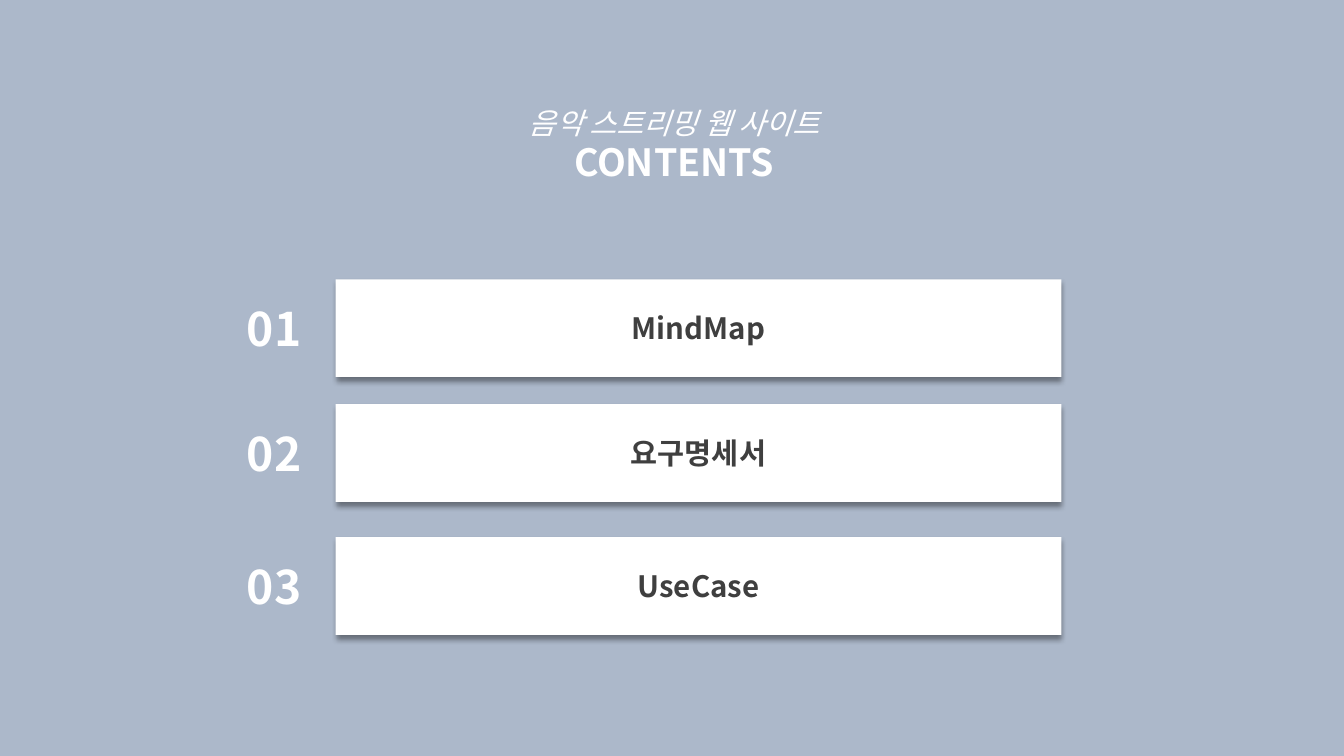
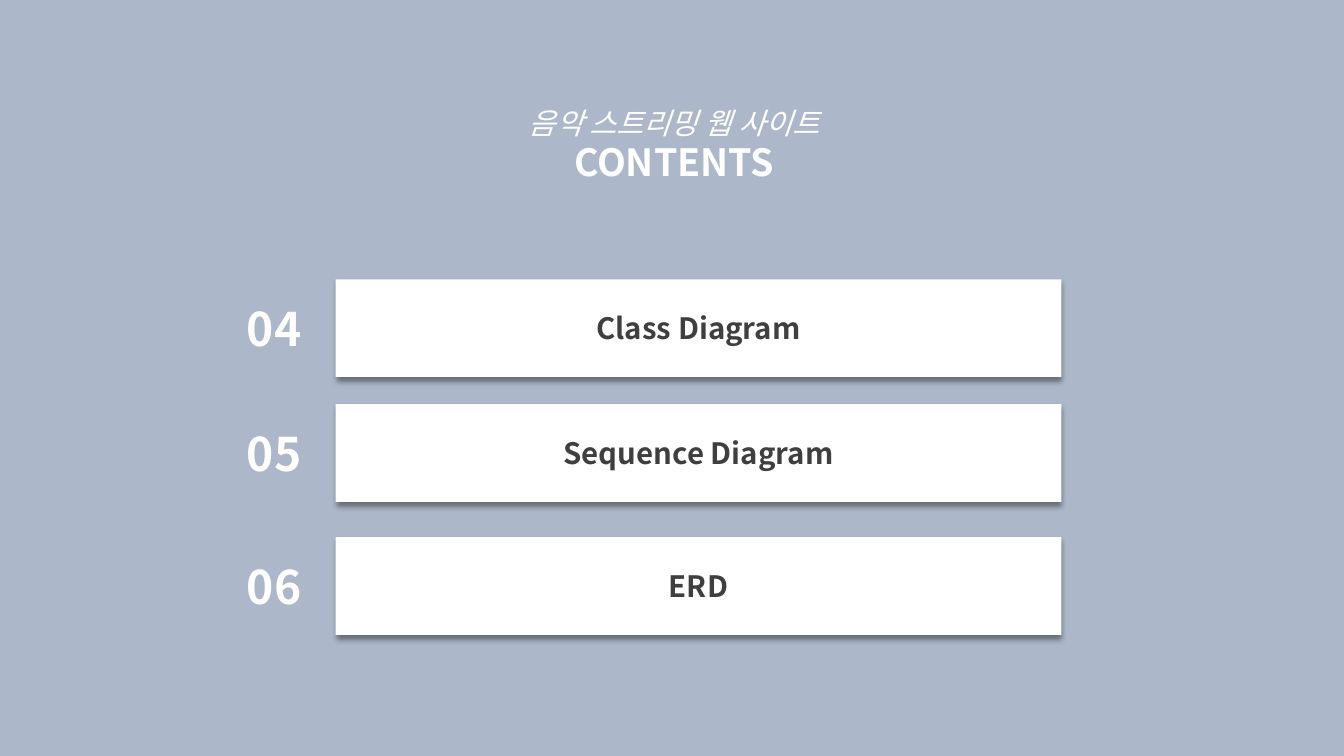
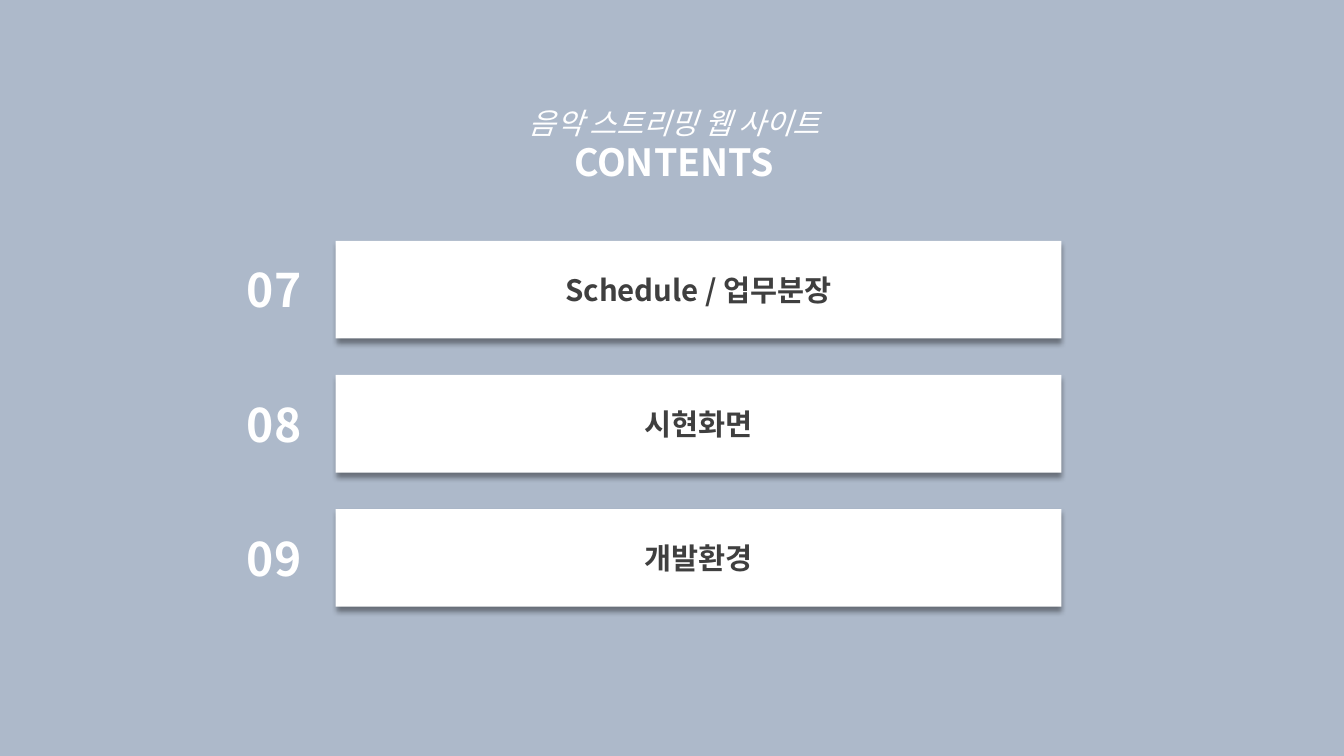
from dataclasses import dataclass

from lxml import etree
from pptx import Presentation
from pptx.dml.color import RGBColor
from pptx.enum.shapes import MSO_SHAPE
from pptx.enum.text import MSO_ANCHOR, MSO_AUTO_SIZE, PP_ALIGN
from pptx.oxml.ns import qn
from pptx.util import Pt

RECT = MSO_SHAPE.RECTANGLE
TOP, MIDDLE = MSO_ANCHOR.TOP, MSO_ANCHOR.MIDDLE
LEFT, CENTER = PP_ALIGN.LEFT, PP_ALIGN.CENTER
NO_FIT, GROW = MSO_AUTO_SIZE.NONE, MSO_AUTO_SIZE.SHAPE_TO_FIT_TEXT
TITLE_ONLY = 5


@dataclass(frozen=True)
class Theme:
    font: str = "Noto Sans CJK KR"
    white: str = "FFFFFF"
    ink: str = "3F3F3F"
    shadow: str = "000000"
    title: float = 26.8
    body: float = 21
    number: float = 33


class Deck:
    def __init__(self, theme):
        self.theme = theme
        self.prs = Presentation()
        self.prs.slide_width, self.prs.slide_height = Pt(960), Pt(540)
        self.s = None

    def add_slide(self, background):
        self.s = self.prs.slides.add_slide(self.prs.slide_layouts[TITLE_ONLY])
        fill = self.s.background.fill
        fill.solid()
        fill.fore_color.rgb = RGBColor.from_string(background)

    def set_text(self, sp, text, size, color, align=CENTER, anchor=TOP,
                 fit=NO_FIT, spacing=None, bold=True, italic=False):
        """Fill a shape with one paragraph in the theme's font."""
        tf = sp.text_frame
        tf.word_wrap = True
        tf.auto_size = fit
        tf.vertical_anchor = anchor
        p = tf.paragraphs[0]
        p.text = text
        p.alignment = align
        p.line_spacing = spacing
        font = p.font
        font.name, font.size = self.theme.font, Pt(size)
        font.bold, font.italic = bold, italic
        font.color.rgb = RGBColor.from_string(color)
        # Korean text takes its typeface from a:ea
        def_rpr = p._p.pPr.find(qn("a:defRPr"))
        etree.SubElement(def_rpr, qn("a:ea"), typeface=self.theme.font)

    def heading(self, title, subtitle):
        t = self.theme
        sp = self.s.shapes.title
        sp.left, sp.top, sp.width, sp.height = Pt(325.5), Pt(104.5), Pt(312), Pt(33)
        self.set_text(sp, title, t.title, t.white, spacing=0.7)
        sp = self.s.shapes.add_textbox(Pt(325.5), Pt(75.5), Pt(312), Pt(29.5))
        self.set_text(sp, subtitle, t.body, t.white, spacing=0.86,
                      bold=False, italic=True)

    def drop_shadow(self, sp):
        sp.shadow.inherit = False
        effects = sp._element.spPr.find(qn("a:effectLst"))
        shadow = etree.SubElement(
            effects, qn("a:outerShdw"), blurRad=str(Pt(4)), dist=str(Pt(3)),
            dir="5400000", algn="t", rotWithShape="0")
        color = etree.SubElement(shadow, qn("a:srgbClr"), val=self.theme.shadow)
        etree.SubElement(color, qn("a:alpha"), val="40000")

    def entry(self, number, text, top):
        """Draw a numbered white bar of the contents list."""
        t = self.theme
        sp = self.s.shapes.add_shape(RECT, Pt(239.75), Pt(top), Pt(518.4), Pt(69.8))
        sp.fill.solid()
        sp.fill.fore_color.rgb = RGBColor.from_string(t.white)
        sp.line.fill.background()
        self.drop_shadow(sp)
        self.set_text(sp, text, t.body, t.ink, anchor=MIDDLE)
        sp = self.s.shapes.add_textbox(Pt(169.2), Pt(top + 11.5), Pt(56.2), Pt(47.5))
        self.set_text(sp, f"{number:02d}", t.number, t.white, align=LEFT, fit=GROW)


UNEVEN_TOPS = (199.5, 288.7, 383.7)
EVEN_TOPS = tuple(172 + 95.8 * i for i in range(3))
CONTENTS = (
    ("ACB8CA", UNEVEN_TOPS, ("MindMap", "요구명세서", "UseCase")),
    ("ACB8CA", UNEVEN_TOPS, ("Class Diagram", "Sequence Diagram", "ERD")),
    ("ADB9CA", EVEN_TOPS, ("Schedule / 업무분장", "시현화면", "개발환경")),
)


def main():
    deck = Deck(Theme())
    number = 1
    for background, tops, entries in CONTENTS:
        deck.add_slide(background)
        deck.heading("CONTENTS", "음악 스트리밍 웹 사이트")
        for top, text in zip(tops, entries):
            deck.entry(number, text, top)
            number += 1
    deck.prs.save("out.pptx")


if __name__ == "__main__":
    main()
